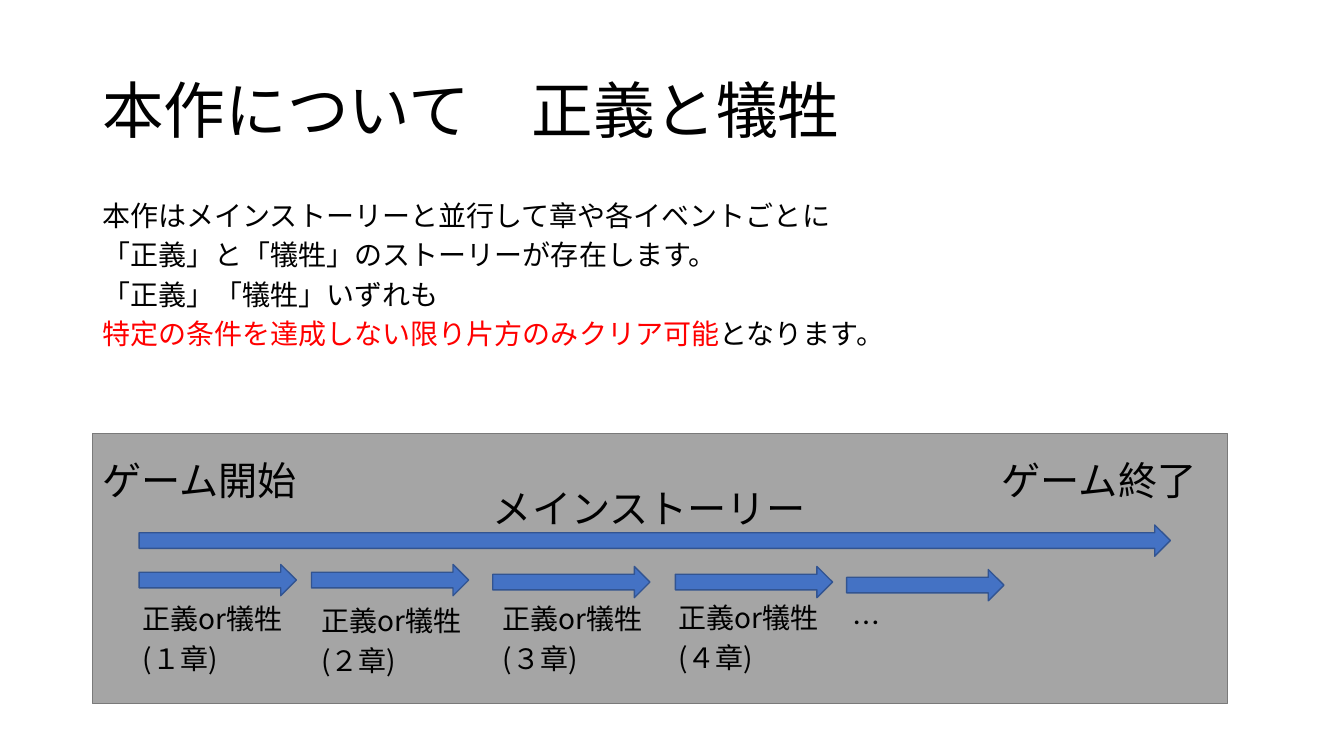
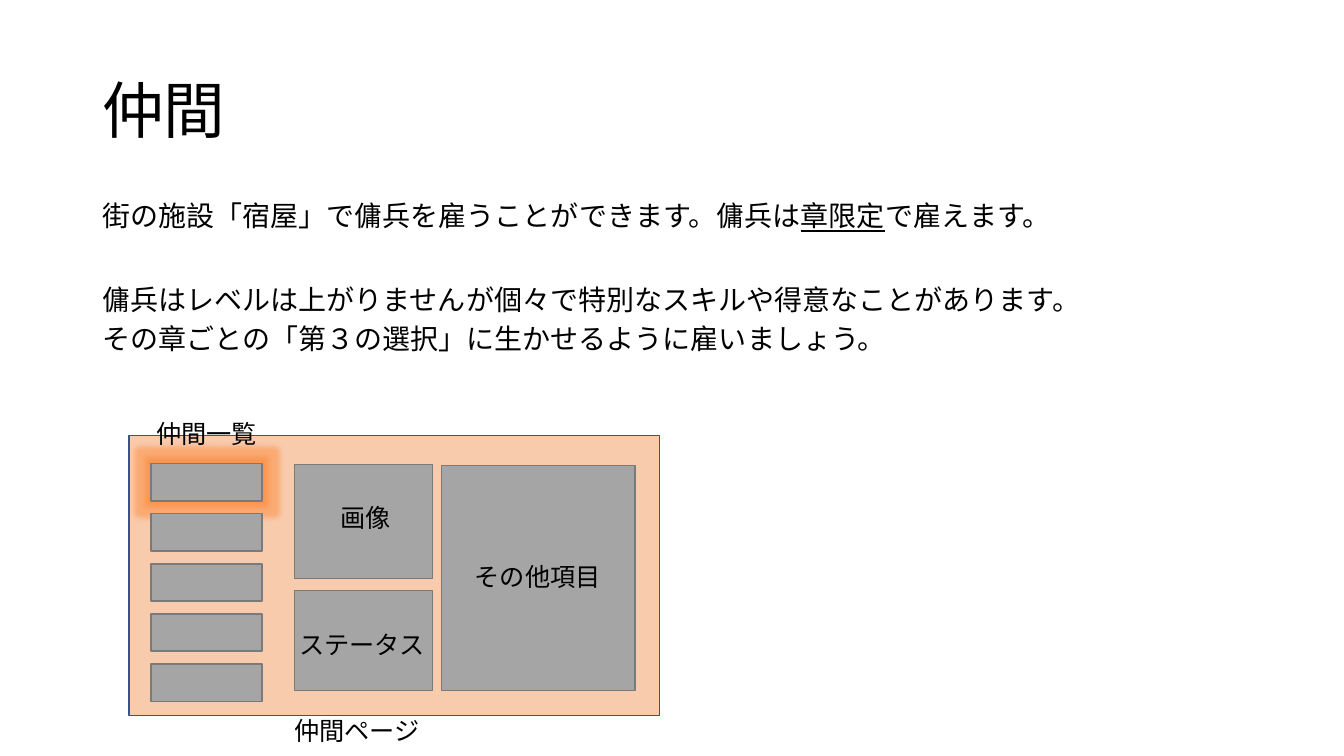
from dataclasses import dataclass
from lxml.etree import SubElement
from pptx import Presentation
from pptx.dml.color import RGBColor
from pptx.enum.shapes import MSO_SHAPE
from pptx.enum.text import MSO_ANCHOR
from pptx.oxml.ns import qn
from pptx.util import Pt


@dataclass(frozen=True)
class Theme:
    font: str = "Noto Sans CJK JP"
    ink: str = "000000"
    red: str = "FF0000"
    gray: str = "A5A5A5"
    edge: str = "7A7A7A"
    blue: str = "4472C4"
    navy: str = "325491"
    peach: str = "F8CBAD"
    glow: str = "FF7A1E"
    title: int = 44
    head: int = 28
    body: int = 20
    label: int = 18


theme = Theme()


def draw(slide, kind, area, fill, line):
    shape = slide.shapes.add_shape(kind, *map(Pt, area))
    shape.shadow.inherit = False
    shape.fill.solid()
    shape.fill.fore_color.rgb = RGBColor.from_string(fill)
    shape.line.color.rgb = RGBColor.from_string(line)
    shape.line.width = Pt(1)
    return shape


def write(slide, area, lines, size, spacing=0.75, anchor=MSO_ANCHOR.TOP):
    frame = slide.shapes.add_textbox(*map(Pt, area)).text_frame
    frame.word_wrap = True
    frame.vertical_anchor = anchor
    for i, runs in enumerate(lines):
        para = frame.add_paragraph() if i else frame.paragraphs[0]
        para.line_spacing = spacing
        para.space_before = Pt(10 if i else 0)
        para.font.size = Pt(size)
        para.font.color.rgb = RGBColor.from_string(theme.ink)
        para.font.name = theme.font
        style = para._p.pPr.find(qn("a:defRPr"))
        SubElement(style, qn("a:ea"), typeface=theme.font)
        for text in runs:
            para.add_run().text = text
    return frame.paragraphs


deck = Presentation()
deck.slide_width, deck.slide_height = Pt(960), Pt(540)

pages = [
    ("本作について　正義と犠牲", [
        ["本作はメインストーリーと並行して章や各イベントごとに"],
        ["「正義」と「犠牲」のストーリーが存在します。"],
        ["「正義」「犠牲」いずれも"],
        ["特定の条件を達成しない限り片方のみクリア可能", "となります。"],
    ]),
    ("仲間", [
        ["街の施設「宿屋」で傭兵を雇うことができます。傭兵は", "章限定", "で雇えます。"],
        ["傭兵はレベルは上がりませんが個々で特別なスキルや得意なことがあります。"],
        ["その章ごとの「第３の選択」に生かせるように雇いましょう。"],
    ]),
]
slides, bodies = [], []
for title, lines in pages:
    slide = deck.slides.add_slide(deck.slide_layouts[6])
    write(slide, (66, 28.8, 828, 104.4), [[title]], theme.title, 0.9, MSO_ANCHOR.MIDDLE)
    bodies.append(write(slide, (66, 144, 828, 126), lines, theme.body))
    slides.append(slide)

story, party = slides
bodies[0][3].runs[0].font.color.rgb = RGBColor.from_string(theme.red)
bodies[1][0].runs[1].font.underline = True
bodies[1][1].space_before = Pt(41.7)

draw(story, MSO_SHAPE.RECTANGLE, (66, 309.6, 811, 193), theme.gray, theme.edge)
heads = [("ゲーム開始", 66, 330), ("ゲーム終了", 708.5, 330), ("メインストーリー", 345, 350)]
for text, left, top in heads:
    write(story, (left, top, 250, 36), [[text]], theme.head)

arrows = [(99.4, 375, 736.6)]
arrows += [(99.4, 403.2, 112.3), (222.5, 403.2, 112.3), (352, 404.6, 112.3),
           (482.4, 404.6, 112.3), (604.8, 406.8, 112.3)]
for left, top, width in arrows:
    draw(story, MSO_SHAPE.RIGHT_ARROW, (left, top, width, 22.3), theme.blue, theme.navy)

steps = [("１", 95, 432), ("２", 222.5, 433.4), ("３", 352, 432), ("４", 477.4, 431.3)]
for number, left, top in steps:
    write(story, (left, top, 130, 64), [["正義or犠牲"], [f"({number}章)"]], theme.body)
write(story, (602, 434.9, 60, 30), [["…"]], theme.body)

draw(party, MSO_SHAPE.RECTANGLE, (92.2, 311, 378.7, 200.2), theme.peach, theme.navy)
rows = [(108, 331.2 + 35.8 * i, 79.2, 26.6) for i in range(5)]
panels = [(210.2, 332, 98.6, 81.4), (315.4, 332.6, 138.2, 160.6), (210.2, 422, 98.6, 71.2)]
tiles = [draw(party, MSO_SHAPE.RECTANGLE, area, theme.gray, theme.edge)
         for area in rows + panels]

effects = tiles[0]._element.spPr.find(qn("a:effectLst"))
glow = SubElement(effects, qn("a:glow"), rad=str(Pt(8)))
color = SubElement(glow, qn("a:srgbClr"), val=theme.glow)
SubElement(color, qn("a:alpha"), val="40000")

labels = [("仲間ページ", 203, 511.2), ("仲間一覧", 104.4, 298.8), ("画像", 236.2, 358.6),
          ("ステータス", 206.6, 449.3), ("その他項目", 332, 401)]
for text, left, top in labels:
    write(party, (left, top, 112, 28.8), [[text]], theme.label, 0.83)

deck.save("out.pptx")
